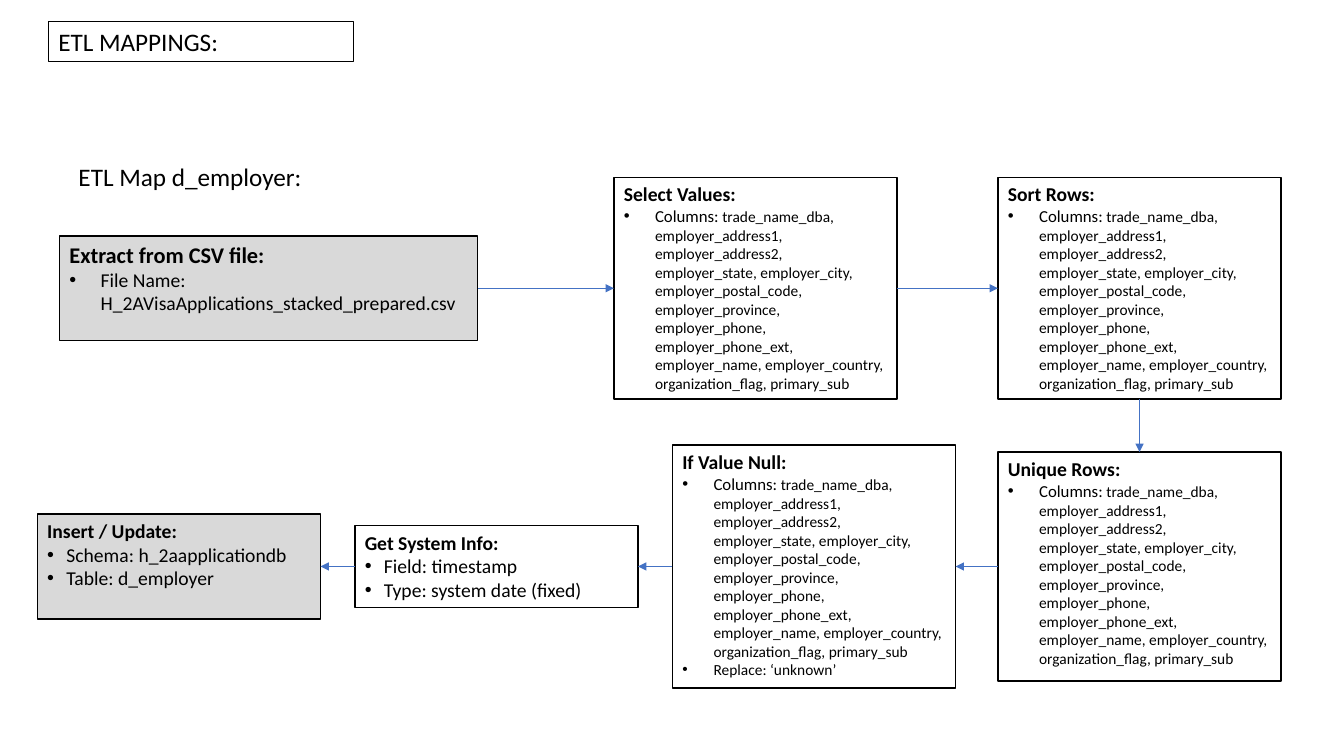
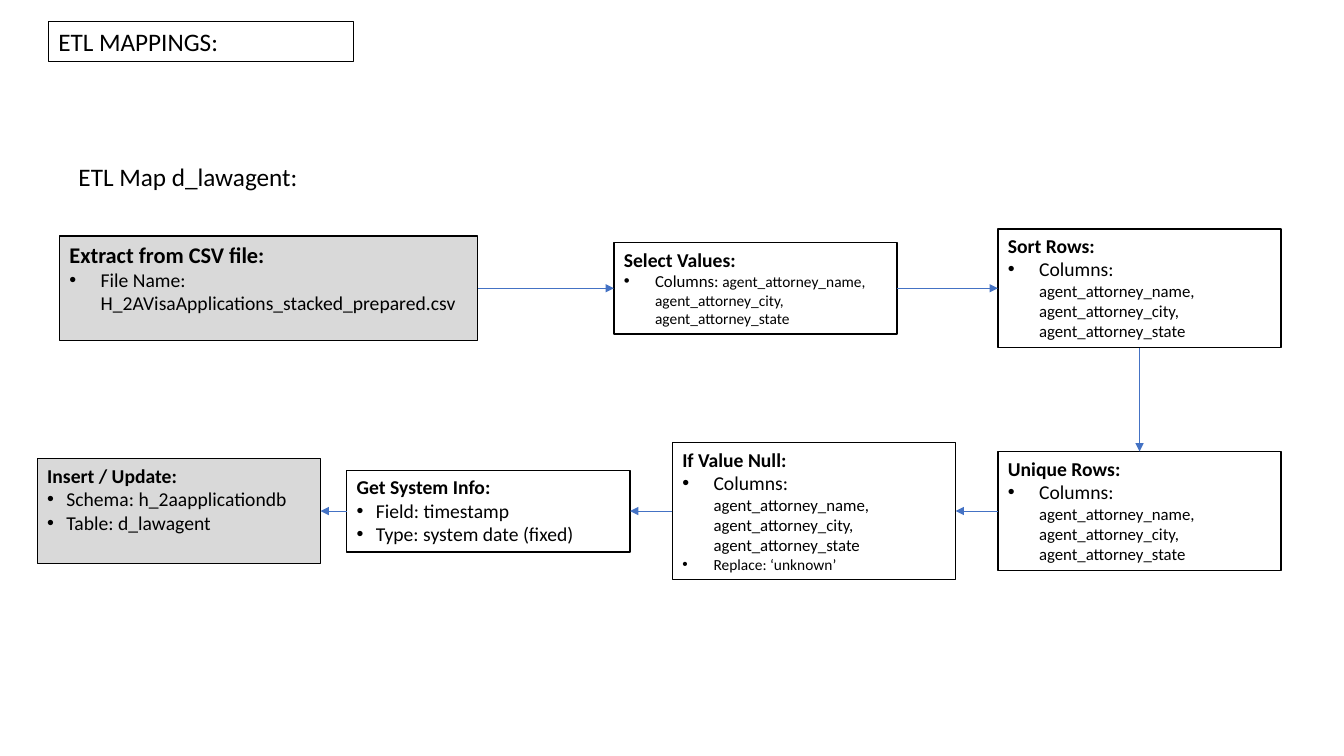
import pptx
import pptx.util
import pptx.dml.color
import pptx.enum.shapes
import pptx.enum.text
import pptx.oxml.ns
import lxml.etree

RGBColor = pptx.dml.color.RGBColor
BLACK = RGBColor(0x00, 0x00, 0x00)
WHITE = RGBColor(0xFF, 0xFF, 0xFF)
GREY = RGBColor(0xD9, 0xD9, 0xD9)
BLUE = RGBColor(0x44, 0x72, 0xC4)
FONT = "Calibri"

# Grid: ten columns and ten rows to the inch
COLS, ROWS = 133.33, 75
CELL = pptx.util.Inches(0.1)
TOP, LEFT, BOTTOM, RIGHT = range(4)  # connection sites of a box
WIDE, NARROW = 3.1, 1.9  # bullet indents
CARD = 28.1  # common box width


def grid(*cells):
    return [round(cell * CELL) for cell in cells]


def child(parent, tag, **attrs):
    return lxml.etree.SubElement(parent, pptx.oxml.ns.qn(tag), **attrs)


def write(para, text, size=14, bold=False, color=BLACK):
    run = para.add_run()
    run.text = text
    font = run.font
    font.name, font.size, font.bold = FONT, pptx.util.Pt(size), bold
    font.color.rgb = color


class Deck:
    def __init__(self):
        self.file = pptx.Presentation()
        self.file.slide_width, self.file.slide_height = grid(COLS, ROWS)
        self.slide = None

    def page(self, name):
        self.slide = self.file.slides.add_slide(self.file.slide_layouts[6])
        title = self.rect(4.8, 2.1, 30.3, 4, None, 0.75)
        write(title.text_frame.paragraphs[0], "ETL MAPPINGS:", size=18)
        label = self.slide.shapes.add_textbox(*grid(6.8, 15.5, 31.1, 4))
        label.text_frame.word_wrap = True
        write(label.text_frame.paragraphs[0], f"ETL Map {name}:", size=18)

    def rect(self, left, top, width, height, fill, line):
        shape = self.slide.shapes.add_shape(
            pptx.enum.shapes.MSO_SHAPE.RECTANGLE, *grid(left, top, width, height))
        shape.shadow.inherit = False
        if fill is None:
            shape.fill.background()
        else:
            shape.fill.solid()
            shape.fill.fore_color.rgb = fill
        shape.line.color.rgb = BLACK
        shape.line.width = pptx.util.Pt(line)
        frame = shape.text_frame
        frame.word_wrap = True
        frame.vertical_anchor = pptx.enum.text.MSO_ANCHOR.TOP
        frame.paragraphs[0].alignment = pptx.enum.text.PP_ALIGN.LEFT
        return shape

    def step(self, left, axis, height, head, items, indent=WIDE,
             width=CARD, fill=WHITE, size=14):
        """Box centred on a row axis; each item is a list of (text, size)."""
        shape = self.rect(left, axis - height / 2, width, height, fill, 1)
        write(shape.text_frame.paragraphs[0], head, size=size, bold=True)
        for item in items:
            self.bullet(shape.text_frame, item, indent)
        return shape

    def bullet(self, frame, runs, indent):
        para = frame.add_paragraph()
        para.alignment = pptx.enum.text.PP_ALIGN.LEFT
        props = para._p.get_or_add_pPr()
        space = grid(indent)[0]
        props.set("marL", str(space))
        props.set("indent", str(-space))
        child(props, "a:buFont", typeface="Arial")
        child(props, "a:buChar", char="•")
        for text, size in runs:
            write(para, text, size=size)

    def arrow(self, start, out, end, into):
        link = self.slide.shapes.add_connector(
            pptx.enum.shapes.MSO_CONNECTOR.STRAIGHT, 0, 0, 0, 0)
        link.begin_connect(start, out)
        link.end_connect(end, into)
        link.line.color.rgb = BLUE
        link.line.width = pptx.util.Pt(0.5)
        child(link.line._get_or_add_ln(), "a:tailEnd", type="triangle")
        child(link._element.spPr, "a:effectLst")


def flow(deck, name, fields, low, info, tall, first, rest):
    """Draw one map: low is the lower axis, info the left of Get System Info,
    tall the heights of the column boxes, first and rest their text sizes."""
    high = 28.6

    def columns(sizes):
        return [("Columns:", sizes[0]), (" " + fields, sizes[1])]

    deck.page(name)

    # Upper row
    source = deck.step(5.9, high, 10.4, "Extract from CSV file:",
                       [[("File Name: H_2AVisaApplications_stacked_prepared.csv", 14)]],
                       width=41.5, fill=GREY, size=16)
    select = deck.step(60.9, high, tall[0], "Select Values:", [columns(first)])
    order = deck.step(99, high, tall[1], "Sort Rows:", [columns(rest)])

    # Lower row, right to left
    unique = deck.step(99, low, tall[2], "Unique Rows:", [columns(rest)])
    null = deck.step(66.7, low, tall[3], "If Value Null:",
                     [columns(rest), [("Replace: ‘unknown’", 11)]])
    stamp = deck.step(info, low, 8.1, "Get System Info:",
                      [[("Field: timestamp", 14)],
                       [("Type: system date (fixed)", 14)]], indent=NARROW)
    target = deck.step(3.7, low, 10.4, "Insert / Update:",
                       [[("Schema: h_2aapplicationdb", 14)],
                        [(f"Table: {name}", 14)]], indent=NARROW, fill=GREY)

    # Arrows
    for start, end in ((source, select), (select, order)):
        deck.arrow(start, RIGHT, end, LEFT)
    deck.arrow(order, BOTTOM, unique, TOP)
    for start, end in ((unique, null), (null, stamp), (stamp, target)):
        deck.arrow(start, LEFT, end, RIGHT)


def main():
    deck = Deck()
    flow(deck, "d_employer",
         "trade_name_dba, employer_address1, employer_address2, employer_state, "
         "employer_city, employer_postal_code, employer_province, employer_phone, "
         "employer_phone_ext, employer_name, employer_country, "
         "organization_flag, primary_sub",
         low=56.2, info=35.2, tall=(22, 22, 22.7, 24.1),
         first=(12, 11), rest=(12, 11))
    flow(deck, "d_lawagent",
         "agent_attorney_name, agent_attorney_city, agent_attorney_state",
         low=50.7, info=34.4, tall=(9.1, 11.8, 11.8, 13.6),
         first=(12, 11), rest=(14, 12))
    deck.file.save("out.pptx")


if __name__ == "__main__":
    main()
